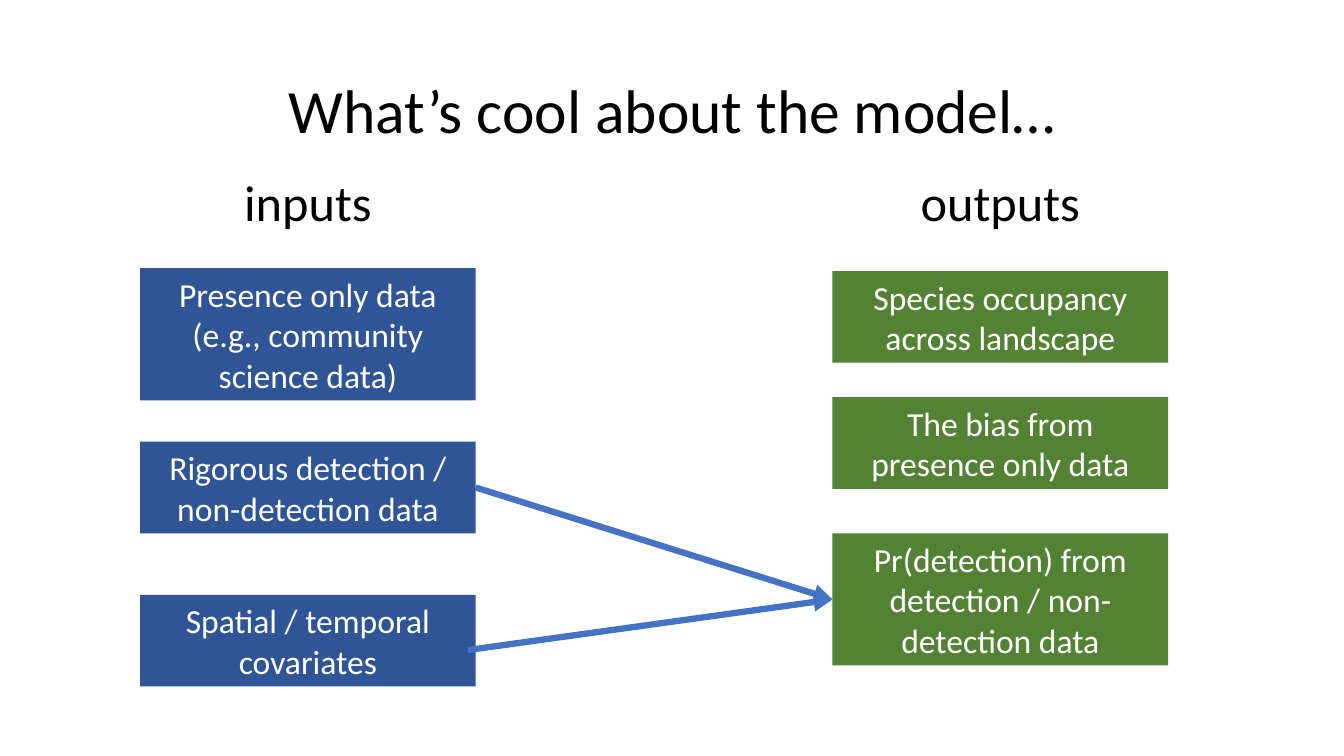
from lxml import etree
from pptx import Presentation
from pptx.dml.color import RGBColor
from pptx.enum import shapes, text
from pptx.oxml import ns
from pptx.util import Cm, Pt

TITLE = "What’s cool about the model…"
COLUMNS = [
    {"heading": "inputs", "left": 3.53, "fill": "input", "boxes": [
        ("Presence only data (e.g., community science data)", 6.76, 3.33),
        ("Rigorous detection / non-detection data", 11.13, 2.31),
        ("Spatial / temporal covariates", 14.99, 2.31)]},
    {"heading": "outputs", "left": 20.98, "fill": "output", "boxes": [
        ("Species occupancy across landscape", 6.83, 2.31),
        ("The bias from presence only data", 10.01, 2.31),
        ("Pr(detection) from detection / non-detection data", 13.44, 3.33)]},
]
BOX_W = 8.46
HEAD_TOP, HEAD_W, HEAD_H = 4.19, 6.98, 1.8
COVARIATES_START = (11.79, 16.38)
THEME = {
    "font": "Calibri",
    "color": {"text": "000000", "on_fill": "FFFFFF", "input": "2F5597",
              "output": "548235", "arrow": "4472C4"},
    "size": {"title": 44, "heading": 36, "box": 24},
    "arrow_width": 4.5,
}


def color(name):
    return RGBColor.from_string(THEME["color"][name])


def write(sp, content, size, ink="text", anchor=text.MSO_ANCHOR.TOP,
          fit=text.MSO_AUTO_SIZE.SHAPE_TO_FIT_TEXT, spacing=None):
    tf = sp.text_frame
    tf.word_wrap = True
    tf.auto_size = fit
    tf.vertical_anchor = anchor
    p = tf.paragraphs[0]
    p.alignment = text.PP_ALIGN.CENTER
    p.line_spacing = spacing
    r = p.add_run()
    r.text = content
    r.font.name = THEME["font"]
    r.font.size = Pt(THEME["size"][size])
    r.font.color.rgb = color(ink)


def add_box(s, content, left, top, height, fill):
    sp = s.shapes.add_shape(shapes.MSO_SHAPE.RECTANGLE,
                            Cm(left), Cm(top), Cm(BOX_W), Cm(height))
    sp.shadow.inherit = False
    sp.fill.solid()
    sp.fill.fore_color.rgb = color(fill)
    sp.line.fill.background()
    write(sp, content, "box", ink="on_fill", anchor=text.MSO_ANCHOR.MIDDLE)
    return sp


def add_column(s, column):
    left = column["left"]
    heading = s.shapes.add_textbox(Cm(left + (BOX_W - HEAD_W) / 2),
                                   Cm(HEAD_TOP), Cm(HEAD_W), Cm(HEAD_H))
    write(heading, column["heading"], "heading")
    return [add_box(s, content, left, top, height, column["fill"])
            for content, top, height in column["boxes"]]


def add_arrow(s, target, start=(0, 0), source=None):
    x, y = start
    arrow = s.shapes.add_connector(shapes.MSO_CONNECTOR.STRAIGHT,
                                   Cm(x), Cm(y), target.left, target.top)
    if source is not None:
        arrow.begin_connect(source, 3)
    arrow.end_connect(target, 1)
    arrow.line.color.rgb = color("arrow")
    arrow.line.width = Pt(THEME["arrow_width"])
    ln = arrow.line._get_or_add_ln()
    etree.SubElement(ln, ns.qn("a:tailEnd"), type="triangle")
    etree.SubElement(arrow._element.spPr, ns.qn("a:effectLst"))


def main():
    prs = Presentation()
    prs.slide_width, prs.slide_height = Cm(33.87), Cm(19.05)
    s = prs.slides.add_slide(prs.slide_layouts[5])
    title = s.shapes.title
    title.left, title.top = Cm(2.34), Cm(1.02)
    title.width, title.height = Cm(29.21), Cm(3.68)
    write(title, TITLE, "title", anchor=text.MSO_ANCHOR.MIDDLE,
          fit=text.MSO_AUTO_SIZE.NONE, spacing=0.9)
    inputs, outputs = [add_column(s, column) for column in COLUMNS]
    detection = outputs[-1]
    add_arrow(s, detection, source=inputs[1])
    add_arrow(s, detection, start=COVARIATES_START)
    prs.save("out.pptx")


if __name__ == "__main__":
    main()
